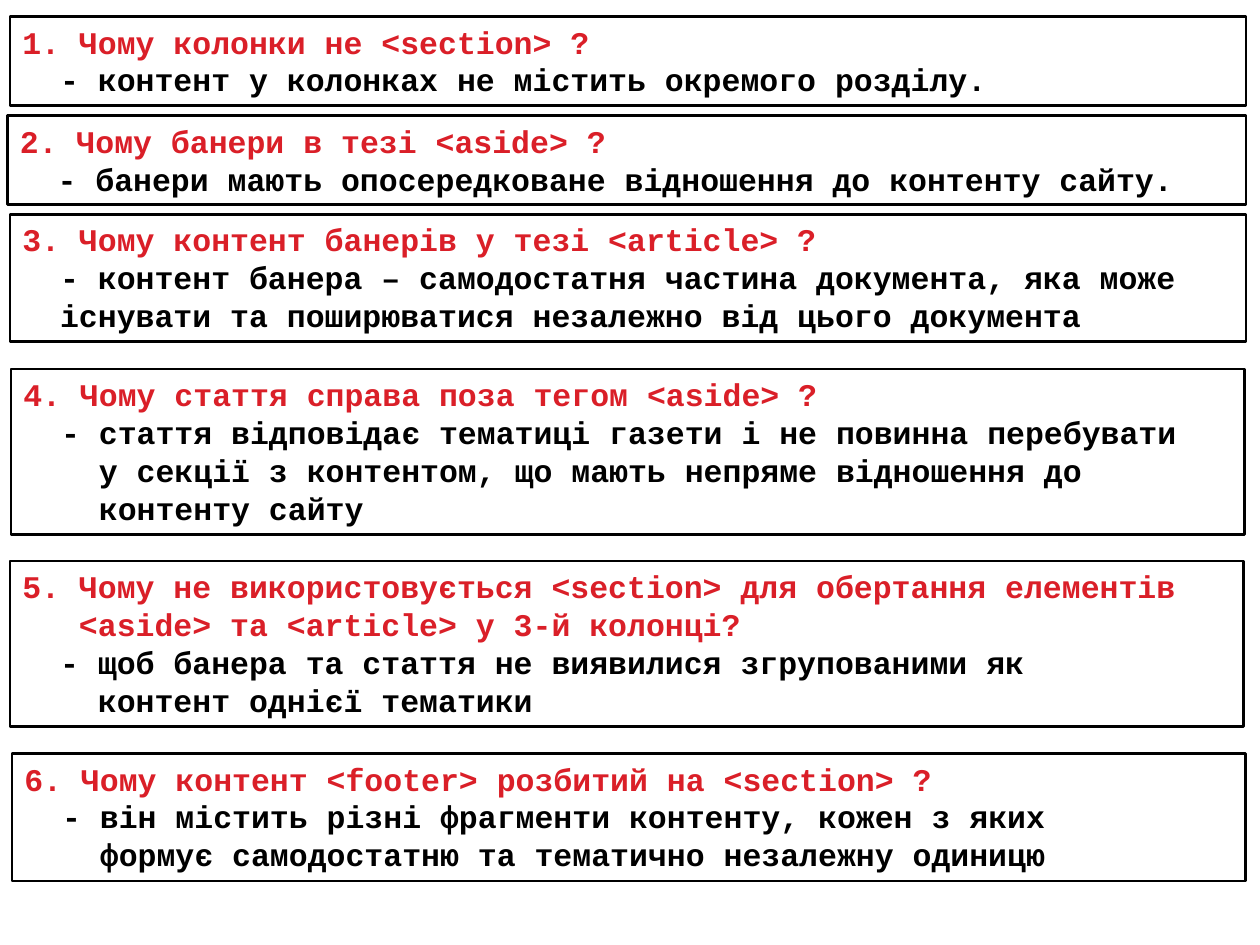
from pptx import Presentation
from pptx import util as u
from pptx.dml.color import RGBColor
from pptx.enum import shapes, text

RED = RGBColor(0xDA, 0x1F, 0x28)
BLACK = RGBColor(0, 0, 0)
FONT = "Courier New"
CHAR_WIDTH = u.Pt(10.8)  # one monospaced character at 18 pt
LINE_HEIGHT = 0.77
PADDING = 0.26

# (left, top, width) in cm, question lines, answer lines;
# each line is (indent in characters, text)
CARDS = [
    ((0.2, 0.33, 24.92),
     [(0, "1. Чому колонки не <section> ?")],
     [(2, "- контент у колонках не містить окремого розділу.")]),
    ((0.15, 2.33, 24.97),
     [(0, "2. Чому банери в тезі <aside> ?")],
     [(2, "- банери мають опосередковане відношення до контенту сайту.")]),
    ((0.2, 4.32, 24.92),
     [(0, "3. Чому контент банерів у тезі <article> ?")],
     [(2, "- контент банера – самодостатня частина документа, яка може"),
      (2, "існувати та поширюватися незалежно від цього документа")]),
    ((0.22, 7.44, 24.87),
     [(0, "4. Чому стаття справа поза тегом <aside> ?")],
     [(2, "- стаття відповідає тематиці газети і не повинна перебувати"),
      (4, "у секції з контентом, що мають непряме відношення до"),
      (4, "контенту сайту")]),
    ((0.2, 11.31, 24.87),
     [(0, "5. Чому не використовується <section> для обертання елементів"),
      (3, "<aside> та <article> у 3-й колонці?")],
     [(2, "- щоб банера та стаття не виявилися згрупованими як"),
      (4, "контент однієї тематики")]),
    ((0.24, 15.19, 24.87),
     [(0, "6. Чому контент <footer> розбитий на <section> ?")],
     [(2, "- він містить різні фрагменти контенту, кожен з яких"),
      (4, "формує самодостатню та тематично незалежну одиницю")]),
]


def write_line(p, indent, line, color):
    p.text = line
    p.alignment = text.PP_ALIGN.LEFT
    pPr = p._p.get_or_add_pPr()
    pPr.set("marL", str(indent * CHAR_WIDTH))
    pPr.set("indent", "0")
    font = p.runs[0].font
    font.name = FONT
    font.size = u.Pt(18)
    font.bold = True
    font.color.rgb = color


def add_card(slide, place, question, answer):
    """Outlined box with a red question and a black answer."""
    left, top, width = place
    lines = [(*q, RED) for q in question] + [(*a, BLACK) for a in answer]
    height = PADDING + LINE_HEIGHT * len(lines)
    sp = slide.shapes.add_shape(shapes.MSO_SHAPE.RECTANGLE, u.Cm(left), u.Cm(top),
                                u.Cm(width), u.Cm(height))
    sp.shadow.inherit = False
    sp.fill.background()
    sp.line.color.rgb = BLACK
    sp.line.width = u.Pt(1.5)
    tf = sp.text_frame
    tf.word_wrap = True
    tf.auto_size = text.MSO_AUTO_SIZE.SHAPE_TO_FIT_TEXT
    tf.vertical_anchor = text.MSO_ANCHOR.TOP
    for i, (indent, line, color) in enumerate(lines):
        p = tf.add_paragraph() if i else tf.paragraphs[0]
        write_line(p, indent, line, color)


def main():
    prs = Presentation()
    prs.slide_width, prs.slide_height = u.Cm(25.4), u.Cm(19.05)
    slide = prs.slides.add_slide(prs.slide_layouts[6])
    for card in CARDS:
        add_card(slide, *card)
    prs.save("out.pptx")


if __name__ == "__main__":
    main()
